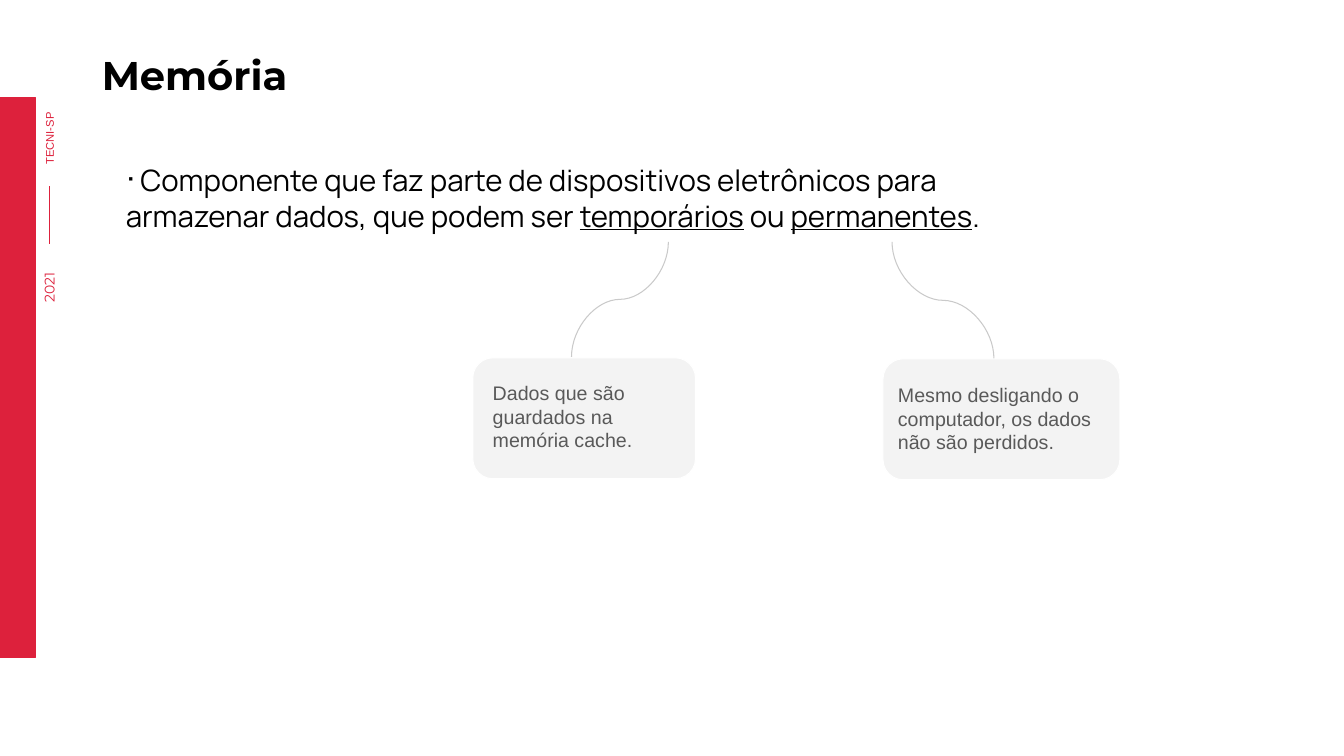
from dataclasses import dataclass

from pptx import Presentation
from pptx.dml.color import RGBColor
from pptx.enum.shapes import MSO_CONNECTOR, MSO_SHAPE
from pptx.enum.text import MSO_ANCHOR, PP_ALIGN
from pptx.oxml import parse_xml
from pptx.oxml.ns import nsdecls
from pptx.shapes.connector import Connector
from pptx.slide import Slide
from pptx.text.text import TextFrame
from pptx.util import Pt

RED = RGBColor(0xDD, 0x21, 0x3C)
BLACK = RGBColor(0x00, 0x00, 0x00)
WHITE = RGBColor(0xFF, 0xFF, 0xFF)
CURVE_GREY = RGBColor(0xCA, 0xCA, 0xCA)
CARD_GREY = RGBColor(0xF3, 0xF3, 0xF3)
TEXT_GREY = RGBColor(0x59, 0x59, 0x59)
RECTANGLE = MSO_SHAPE.RECTANGLE
ROUNDED = MSO_SHAPE.ROUNDED_RECTANGLE
STRAIGHT = MSO_CONNECTOR.STRAIGHT
CURVE = MSO_CONNECTOR.CURVE
LEFT = PP_ALIGN.LEFT
RIGHT = PP_ALIGN.RIGHT
MIDDLE = MSO_ANCHOR.MIDDLE
TITLE_ONLY = 5


@dataclass(frozen=True)
class Box:
    left: float
    top: float
    width: float
    height: float

    def lengths(self) -> tuple[Pt, Pt, Pt, Pt]:
        return Pt(self.left), Pt(self.top), Pt(self.width), Pt(self.height)


@dataclass(frozen=True)
class Span:
    text: str
    size: float
    font: str
    color: RGBColor
    underline: bool = False
    bold: bool = False


@dataclass(frozen=True)
class Label:
    box: Box
    spans: tuple[Span, ...]
    rotation: float = 0
    align: PP_ALIGN = LEFT
    inset: float = 3.6


@dataclass(frozen=True)
class Callout:
    card: Box
    label: Label
    start: tuple[float, float]
    end: tuple[float, float]


def write(frame: TextFrame, spans: tuple[Span, ...], align: PP_ALIGN = LEFT) -> None:
    frame.word_wrap = True
    para = frame.paragraphs[0]
    para.alignment = align
    for span in spans:
        run = para.add_run()
        run.text = span.text
        run.font.size = Pt(span.size)
        run.font.name = span.font
        run.font.color.rgb = span.color
        run.font.underline = span.underline
        run.font.bold = span.bold


def add_label(page: Slide, label: Label) -> None:
    shape = page.shapes.add_textbox(*label.box.lengths())
    shape.rotation = label.rotation
    shape.text_frame.margin_top = shape.text_frame.margin_bottom = Pt(label.inset)
    write(shape.text_frame, label.spans, label.align)


def add_block(page: Slide, kind: MSO_SHAPE, box: Box, fill: RGBColor, border: RGBColor) -> None:
    shape = page.shapes.add_shape(kind, *box.lengths())
    shape.shadow.inherit = False
    shape.fill.solid()
    shape.fill.fore_color.rgb = fill
    shape.line.color.rgb = border
    shape.line.width = Pt(0.75)


def add_line(page: Slide, kind: MSO_CONNECTOR, start: tuple[float, float],
             end: tuple[float, float], color: RGBColor) -> Connector:
    line = page.shapes.add_connector(kind, *map(Pt, (*start, *end)))
    line.line.color.rgb = color
    line.line.width = Pt(0.75)
    line._element.spPr.append(parse_xml(f"<a:effectLst {nsdecls('a')}/>"))
    return line


def add_falling_curve(page: Slide, start: tuple[float, float], end: tuple[float, float]) -> None:
    center_x, center_y = (start[0] + end[0]) / 2, (start[1] + end[1]) / 2
    half_run, half_drop = abs(end[0] - start[0]) / 2, (end[1] - start[1]) / 2
    side = 1 if end[0] > start[0] else -1
    curve = add_line(page, CURVE, (center_x + side * half_drop, center_y - half_run),
                     (center_x - side * half_drop, center_y + half_run), CURVE_GREY)
    angle = 270 if side > 0 else 90
    curve._element.spPr.xfrm.set("rot", str(angle * 60000))


def add_callout(page: Slide, callout: Callout) -> None:
    add_falling_curve(page, callout.start, callout.end)
    add_block(page, ROUNDED, callout.card, CARD_GREY, WHITE)
    add_label(page, callout.label)


def body(text: str, underline: bool = False) -> Span:
    return Span(text, 21, "Manrope", BLACK, underline)


def note(text: str) -> tuple[Span, ...]:
    return (Span(text, 14, "Arial", TEXT_GREY),)


SIDE_BAR = Box(0, 69.8, 25.2, 399.6)
TITLE_BOX = Box(65.5, 33.8, 720, 42.5)
LABELS = (
    Label(Box(6.5, 93.6, 57.6, 16.6), (Span("TECNI-SP", 8, "Arial", RED),), 270, RIGHT),
    Label(Box(10.8, 189.4, 48.2, 18.7), (Span("2021", 10, "Montserrat", RED),), 270),
    Label(Box(82.8, 105.8, 673.2, 69.1), (
        Span("ᐧ", 24, "Manrope", BLACK),
        body(" Componente que faz parte de dispositivos eletrônicos para armazenar dados, que podem ser "),
        body("temporários", True),
        body(" ou "),
        body("permanentes", True),
        body("."),
    ), inset=7.2),
)
CALLOUTS = (
    Callout(Box(630.7, 256.3, 169.2, 86.4),
            Label(Box(634.3, 270, 169.2, 58.3),
                  note("Mesmo desligando o computador, os dados não são perdidos.")),
            (637.2, 172.8), (710, 256.3)),
    Callout(Box(337.7, 255.6, 159.1, 86.4),
            Label(Box(344.9, 268.6, 141.1, 58.3),
                  note("Dados que são guardados na memória cache.")),
            (477.4, 172.8), (408.2, 254.9)),
)


def main() -> None:
    deck = Presentation()
    deck.slide_width, deck.slide_height = Pt(960), Pt(540)
    page = deck.slides.add_slide(deck.slide_layouts[TITLE_ONLY])
    title = page.shapes.title
    title.left, title.top, title.width, title.height = TITLE_BOX.lengths()
    title.text_frame.vertical_anchor = MIDDLE
    write(title.text_frame, (Span("Memória", 28.6, "Montserrat", BLACK, bold=True),))
    title.text_frame.paragraphs[0].line_spacing = 0.9
    add_block(page, RECTANGLE, SIDE_BAR, RED, RED)
    add_line(page, STRAIGHT, (35.3, 133.2), (35.3, 174.2), RED)
    for label in LABELS:
        add_label(page, label)
    for callout in CALLOUTS:
        add_callout(page, callout)
    deck.save("out.pptx")


if __name__ == "__main__":
    main()
